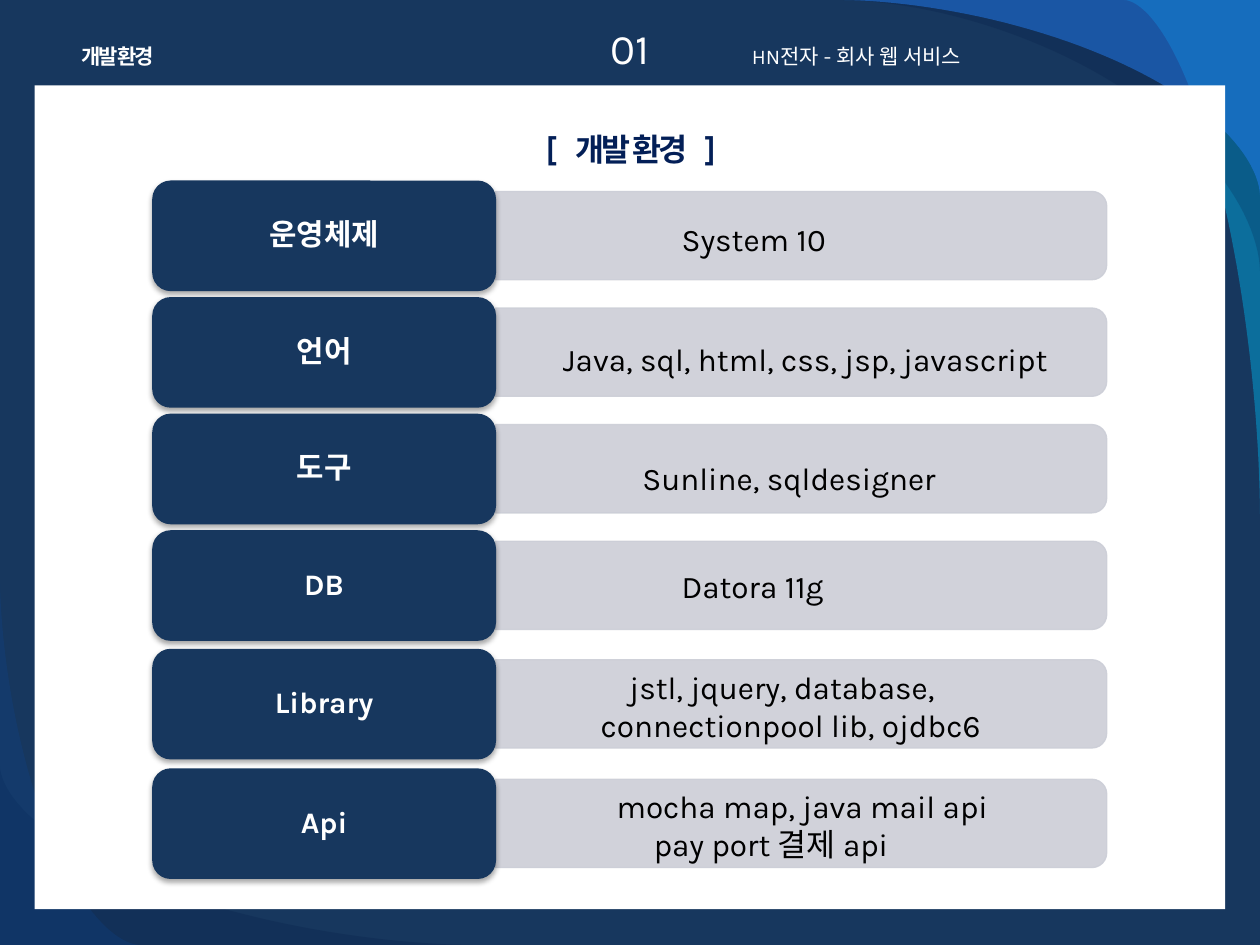
import math
from dataclasses import dataclass

import lxml.etree
import pptx
import pptx.dml.color
import pptx.enum.shapes
import pptx.enum.text
import pptx.oxml.ns
import pptx.util

Cm = pptx.util.Cm
Pt = pptx.util.Pt
SHAPES = pptx.enum.shapes.MSO_SHAPE
ALIGN = pptx.enum.text.PP_ALIGN


@dataclass(frozen=True)
class Theme:
    font: str = "Karla"
    navy: str = "17375E"
    ink: str = "031F57"
    white: str = "FFFFFF"
    black: str = "000000"
    bar: str = "CCCED7"
    teal: str = "00B1E9"
    deep: str = "021741"
    sky: str = "247FF4"
    royal: str = "084AA1"
    number_size: int = 24
    body_size: int = 18
    label_size: int = 17
    header_size: int = 12


class EnvironmentSlide:
    """Draws the elements of the development environment slide in one style."""

    def __init__(self, slide, theme):
        self.slide = slide
        self.theme = theme
        self.paint(slide.background.fill, theme.navy)

    def add_child(self, parent, tag, **attributes):
        child = lxml.etree.SubElement(parent, pptx.oxml.ns.qn(tag))
        for name, value in attributes.items():
            child.set(name, str(value))
        return child

    def paint(self, fill, colour, opacity=100):
        fill.solid()
        fill.fore_color.rgb = pptx.dml.color.RGBColor.from_string(colour)
        if opacity < 100:
            element = fill._xPr.find(".//" + pptx.oxml.ns.qn("a:srgbClr"))
            self.add_child(element, "a:alpha", val=opacity * 1000)

    def corner(self, x, y, width, height, colour, opacity):
        """Fill a slide corner up to a superellipse; signed sizes point inwards."""
        steps, power = 48, 2 / 1.75
        angles = [math.pi / 2 * step / steps for step in range(steps + 1)]
        curve = [
            (Cm(x + width * (1 - max(math.cos(angle), 0) ** power)),
             Cm(y + height * (1 - math.sin(angle) ** power)))
            for angle in angles
        ]
        builder = self.slide.shapes.build_freeform(Cm(x), Cm(y))
        builder.add_line_segments(curve)
        shape = builder.convert_to_shape()
        shape.shadow.inherit = False
        self.paint(shape.fill, colour, opacity)
        shape.line.fill.background()

    def box(self, kind, left, top, width, height, colour, opacity=100):
        shape = self.slide.shapes.add_shape(kind, Cm(left), Cm(top), Cm(width), Cm(height))
        shape.shadow.inherit = False
        self.paint(shape.fill, colour, opacity)
        shape.line.fill.background()
        return shape

    def add_text(self, paragraph, text, size, colour, bold=False, spacing=None):
        run = paragraph.add_run()
        run.text = text
        run.font.name = self.theme.font
        run.font.size = Pt(size)
        run.font.bold = bold
        run.font.color.rgb = pptx.dml.color.RGBColor.from_string(colour)
        if spacing is not None:
            run._r.get_or_add_rPr().set("spc", str(int(spacing * 100)))

    def text_box(self, left, top, width, height, lines, size, colour,
                 align=ALIGN.LEFT, bold=False, wrap=True):
        """Add lines, each given as an indent and (text, letter spacing) runs."""
        shape = self.slide.shapes.add_textbox(Cm(left), Cm(top), Cm(width), Cm(height))
        frame = shape.text_frame
        frame.word_wrap = wrap
        frame.auto_size = pptx.enum.text.MSO_AUTO_SIZE.SHAPE_TO_FIT_TEXT
        for index, (indent, runs) in enumerate(lines):
            paragraph = frame.add_paragraph() if index else frame.paragraphs[0]
            paragraph.alignment = align
            if indent:
                properties = paragraph._p.get_or_add_pPr()
                properties.set("marL", "0")
                properties.set("indent", str(Cm(indent)))
            for text, spacing in runs:
                self.add_text(paragraph, text, size, colour, bold, spacing)

    def bar(self, left, top, width, height):
        turned_left = left + (width - height) / 2
        turned_top = top - (width - height) / 2
        shape = self.box(SHAPES.ROUND_2_SAME_RECTANGLE, turned_left, turned_top,
                         height, width, self.theme.bar, 90)
        shape.rotation = 90
        self.paint(shape.line.fill, self.theme.bar, 90)
        shape.line.width = Pt(0.75)

    def label(self, left, top, width, height, text):
        shape = self.box(SHAPES.ROUNDED_RECTANGLE, left, top, width, height, self.theme.navy)
        effects = shape._element.spPr.find(pptx.oxml.ns.qn("a:effectLst"))
        shadow = self.add_child(effects, "a:outerShdw", blurRad=Pt(3.1), dist=Pt(1.8),
                                dir=5400000, rotWithShape=0)
        colour = self.add_child(shadow, "a:srgbClr", val=self.theme.black)
        self.add_child(colour, "a:alpha", val=35000)
        frame = shape.text_frame
        frame.word_wrap = True
        frame.vertical_anchor = pptx.enum.text.MSO_ANCHOR.MIDDLE
        paragraph = frame.paragraphs[0]
        paragraph.alignment = ALIGN.CENTER
        paragraph.line_spacing = 0.9
        self.add_text(paragraph, text, self.theme.label_size, self.theme.white, bold=True)

    def row(self, top, name, value_box, lines):
        self.bar(9.99, top + 0.22, 12.32, 1.78)
        self.label(3.07, top, 6.93, 2.23, name)
        runs = [(indent, [(text, None)]) for indent, text in lines]
        self.text_box(*value_box, runs, self.theme.body_size, self.theme.black)


def main():
    theme = Theme()
    presentation = pptx.Presentation()
    presentation.slide_width = Cm(25.4)
    presentation.slide_height = Cm(19.05)
    page = EnvironmentSlide(presentation.slides.add_slide(presentation.slide_layouts[6]), theme)

    corners = [
        (25.4, 0, -2.74, 10.36, theme.teal, 45),
        (25.4, 0, -8.46, 5.46, theme.deep, 20),
        (25.4, 0, -8.46, 3.94, theme.sky, 49),
        (0, 19.05, 9.53, -3.61, theme.deep, 20),
        (0, 19.05, 2.82, -7.42, theme.royal, 20),
    ]
    for corner in corners:
        page.corner(*corner)
    page.box(SHAPES.RECTANGLE, 0.7, 1.72, 24, 16.61, theme.white)

    page.text_box(11.2, 0.33, 3, 1.27, [(0, [("01", None)])],
                  theme.number_size, theme.white, ALIGN.CENTER)
    title = [("[", -1.5), (" ", 6), ("개발 환경", -1.5), (" ", 6), ("]", -1.5)]
    page.text_box(6.91, 2.49, 11.61, 1.02, [(0, title)],
                  theme.body_size, theme.ink, ALIGN.CENTER, bold=True)
    page.text_box(1.37, 0.76, 2.01, 0.76, [(0, [("개발 환경", -1.5)])],
                  theme.header_size, theme.white, ALIGN.CENTER, bold=True, wrap=False)
    page.text_box(14.91, 0.76, 10.01, 0.76, [(0, [("HN전자 - 회사 웹 서비스", None)])],
                  theme.header_size, theme.white, ALIGN.JUSTIFY)

    rows = [
        (3.64, "운영체제", (13.49, 4.32, 5, 1.02), [(0, "System 10")]),
        (5.99, "언어", (11.1, 6.73, 10.39, 1.02), [(0, "Java, sql, html, css, jsp, javascript")]),
        (8.34, "도구", (12.7, 9.12, 6.6, 1.02), [(0, "Sunline, sqldesigner")]),
        (10.69, "DB", (13.49, 11.3, 5, 1.02), [(0, "Datora 11g")]),
        (13.08, "Library", (11.86, 13.34, 8.99, 1.78),
         [(0.58, "jstl, jquery, database, connectionpool lib, ojdbc6")]),
        (15.49, "Api", (11.86, 15.75, 9.63, 1.78),
         [(0.32, "mocha map, java mail api"), (1.07, "pay port 결제 api")]),
    ]
    for row in rows:
        page.row(*row)
    presentation.save("out.pptx")


if __name__ == "__main__":
    main()
